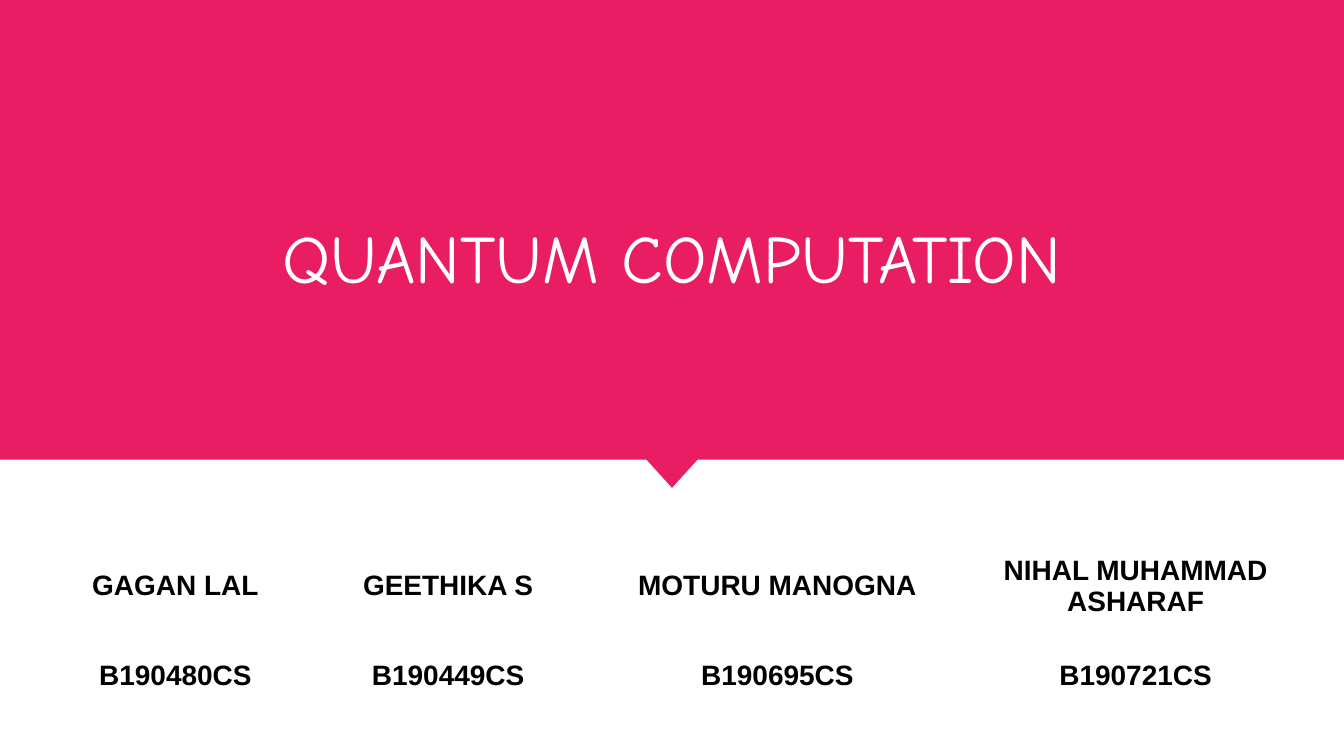
"""Build the title slide of a quantum computation talk with its team table."""
from lxml import etree
from pptx import Presentation
from pptx.dml.color import RGBColor
from pptx.enum import shapes, text
from pptx.oxml import ns
from pptx.util import Inches, Pt

TITLE = "QUANTUM COMPUTATION"
TEAM = [
    ("GAGAN LAL", "B190480CS", 1.89),
    ("GEETHIKA S", "B190449CS", 2.17),
    ("MOTURU MANOGNA", "B190695CS", 2.73),
    ("NIHAL MUHAMMAD ASHARAF", "B190721CS", 2.6),
]
ROW_HEIGHTS = [0.9, 0.42]
ROW_ANCHORS = [text.MSO_ANCHOR.MIDDLE, text.MSO_ANCHOR.TOP]
THEME = {
    "accent": "E91D63", "light": "FFFFFF", "dark": "000000",
    "title_font": "Comic Neue", "title_size": 36.3,
    "body_font": "Arial", "body_size": 15, "border": 0.75,
}
WIDTH, INSET = 10, 0.1
HEIGHT = WIDTH * 9 / 16


def color(name):
    return RGBColor.from_string(THEME[name])


def add_panel(slide, preset, box, rotation=0):
    shape = slide.shapes.add_shape(preset, *map(Inches, box))
    shape.rotation = rotation
    shape.shadow.inherit = False
    shape.fill.solid()
    shape.fill.fore_color.rgb = color("accent")
    shape.line.fill.background()


def write(paragraph, content, role, ink, bold=False):
    paragraph.alignment = text.PP_ALIGN.CENTER
    run = paragraph.add_run()
    run.text = content
    run.font.name = THEME[role + "_font"]
    run.font.size = Pt(THEME[role + "_size"])
    run.font.bold = bold
    run.font.color.rgb = color(ink)


def set_margins(target, bottom=INSET):
    target.margin_left = target.margin_right = target.margin_top = Inches(INSET)
    target.margin_bottom = Inches(bottom)


def add_borders(cell):
    properties = cell._tc.get_or_add_tcPr()
    for position, side in enumerate(("lnL", "lnR", "lnT", "lnB")):
        line = etree.Element(ns.qn("a:" + side), w=str(Pt(THEME["border"])))
        fill = etree.SubElement(line, ns.qn("a:solidFill"))
        etree.SubElement(fill, ns.qn("a:srgbClr"), val=THEME["light"])
        properties.insert(position, line)


def add_title(slide):
    box = slide.shapes.add_textbox(Inches(0), Inches(0.51), Inches(WIDTH), Inches(2.31))
    frame = box.text_frame
    frame.word_wrap = True
    frame.vertical_anchor = text.MSO_ANCHOR.BOTTOM
    set_margins(frame, bottom=0.72)
    write(frame.paragraphs[0], TITLE, "title", "light")


def add_team(slide):
    total = sum(member[-1] for member in TEAM)
    table = slide.shapes.add_table(
        len(ROW_HEIGHTS), len(TEAM), Inches(0.36), Inches(3.91),
        Inches(total), Inches(sum(ROW_HEIGHTS))).table
    table.first_row = table.horz_banding = False
    for row, height in zip(table.rows, ROW_HEIGHTS):
        row.height = Inches(height)
    for column, (*entries, width) in enumerate(TEAM):
        table.columns[column].width = Inches(width)
        for row, entry in enumerate(entries):
            cell = table.cell(row, column)
            cell.fill.background()
            cell.vertical_anchor = ROW_ANCHORS[row]
            set_margins(cell)
            add_borders(cell)
            write(cell.text_frame.paragraphs[0], entry, "body", "dark", bold=True)


def main():
    presentation = Presentation()
    presentation.slide_width = Inches(WIDTH)
    presentation.slide_height = Inches(HEIGHT)
    slide = presentation.slides.add_slide(presentation.slide_layouts[6])
    slide.background.fill.solid()
    slide.background.fill.fore_color.rgb = color("light")
    preset = shapes.MSO_SHAPE
    add_panel(slide, preset.ISOSCELES_TRIANGLE, (4.62, 3.21, 0.76, 0.42), rotation=180)
    add_panel(slide, preset.RECTANGLE, (0, 0, WIDTH, 3.42))
    add_title(slide)
    add_team(slide)
    presentation.save("out.pptx")


if __name__ == "__main__":
    main()
